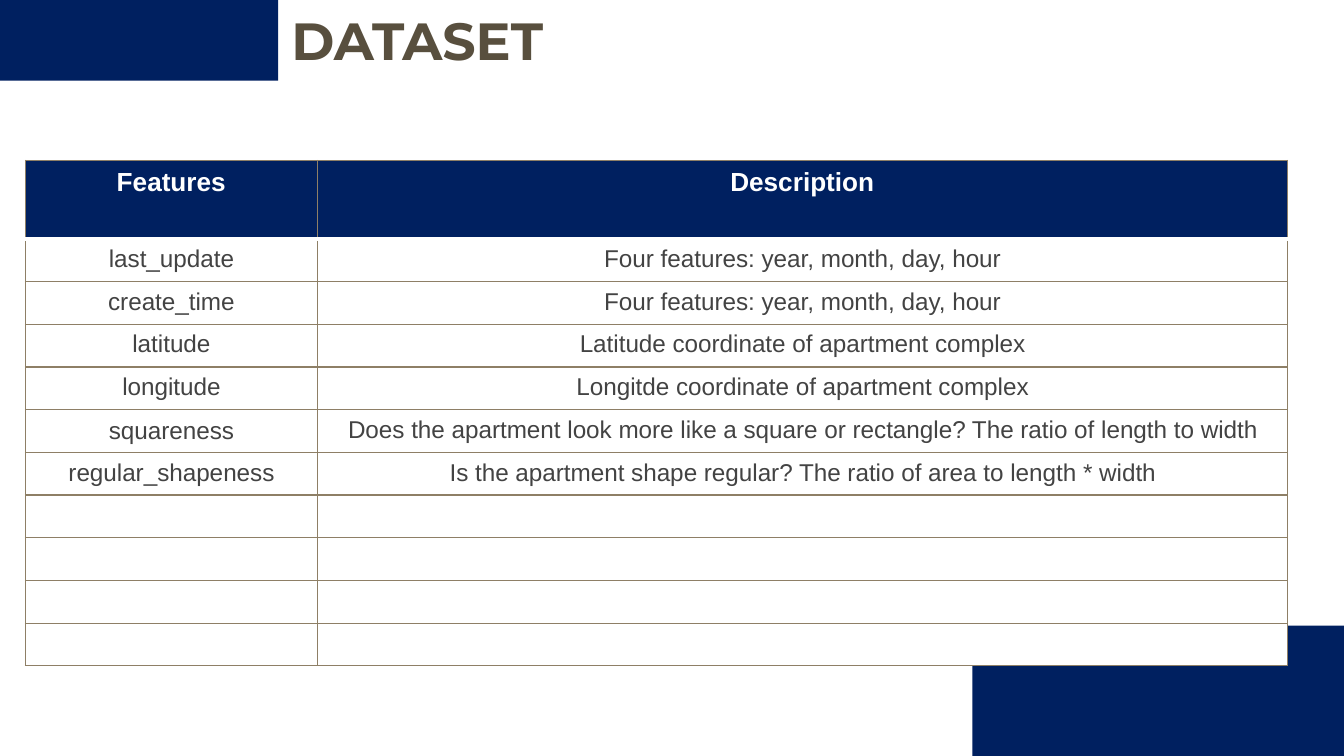
from dataclasses import dataclass

from lxml.etree import SubElement
from pptx import Presentation
from pptx.dml.color import RGBColor
from pptx.enum.shapes import MSO_SHAPE as Shape
from pptx.enum.text import MSO_ANCHOR as Anchor, MSO_AUTO_SIZE as AutoSize, PP_ALIGN as Align
from pptx.oxml.ns import qn
from pptx.util import Pt

NAVY, WHITE, BROWN, GREY, TAN = "002060", "FFFFFF", "584F3E", "434343", "8E7F66"
COLUMN_WIDTHS = (156.24, 519.84)
HEADER_HEIGHT, ROW_HEIGHT = 42, 22.9
EMPTY_ROWS = 4


@dataclass(frozen=True)
class Block:
    left: float
    top: float
    width: float
    height: float


@dataclass(frozen=True)
class TextStyle:
    font: str
    size: float
    color: str
    bold: bool = False


BLOCKS = (Block(0, 0, 149, 43.2), Block(521, 335.2, 204.5, 69.8))
TITLE = TextStyle("Montserrat", 28, BROWN, True)
HEADER = TextStyle("Arial", 14, WHITE, True)
BODY = TextStyle("Arial", 13, GREY)
ROWS = [
    ("Features", "Description"),
    ("last_update", "Four features: year, month, day, hour"),
    ("create_time", "Four features: year, month, day, hour"),
    ("latitude", "Latitude coordinate of apartment complex"),
    ("longitude", "Longitde coordinate of apartment complex"),
    ("squareness", "Does the apartment look more like a square or rectangle? "
                   "The ratio of length to width"),
    ("regular_shapeness", "Is the apartment shape regular? "
                          "The ratio of area to length * width"),
] + [("", "")] * EMPTY_ROWS


def rgb(color: str) -> RGBColor:
    return RGBColor.from_string(color)


def style_paragraph(para, style: TextStyle) -> None:
    para.font.name = style.font
    para.font.size = Pt(style.size)
    para.font.bold = style.bold
    para.font.color.rgb = rgb(style.color)


def add_block(page, block: Block) -> None:
    box = page.shapes.add_shape(Shape.RECTANGLE, Pt(block.left), Pt(block.top),
                                Pt(block.width), Pt(block.height))
    box.shadow.inherit = False
    box.fill.solid()
    box.fill.fore_color.rgb = rgb(NAVY)
    box.line.fill.background()


def add_title(page, text: str) -> None:
    box = page.shapes.add_textbox(Pt(149), Pt(0.7), Pt(153.4), Pt(41))
    frame = box.text_frame
    frame.word_wrap = False
    frame.auto_size = AutoSize.SHAPE_TO_FIT_TEXT
    frame.text = text
    style_paragraph(frame.paragraphs[0], TITLE)


def add_border(cell, side: str, color: str, width: float) -> None:
    """Append one cell border; call in the order L, R, T, B and before the fill."""
    properties = cell._tc.get_or_add_tcPr()
    line = SubElement(properties, qn(f"a:ln{side}"), w=str(Pt(width)))
    SubElement(SubElement(line, qn("a:solidFill")), qn("a:srgbClr"), val=color)


def fill_cell(cell, text: str, row: int) -> None:
    for side in "LRTB":
        under_header = (row, side) in ((0, "B"), (1, "T"))
        add_border(cell, side, *((WHITE, 2) if under_header else (TAN, 0.75)))
    cell.fill.solid()
    cell.fill.fore_color.rgb = rgb(WHITE if row else NAVY)
    para = cell.text_frame.paragraphs[0]
    para.alignment = Align.CENTER
    style_paragraph(para, BODY if row else HEADER)
    if text:
        para.add_run().text = text
    else:
        # Keeps an empty row from growing to the default text size
        para._p.get_or_add_endParaRPr().set("sz", str(BODY.size * 100))
    if text == "squareness":
        cell.vertical_anchor = Anchor.MIDDLE


def add_feature_table(page) -> None:
    height = HEADER_HEIGHT + ROW_HEIGHT * (len(ROWS) - 1)
    table = page.shapes.add_table(len(ROWS), len(COLUMN_WIDTHS), Pt(13.68), Pt(86),
                                  Pt(sum(COLUMN_WIDTHS)), Pt(height)).table
    table.first_row = table.horz_banding = False
    for column, width in zip(table.columns, COLUMN_WIDTHS):
        column.width = Pt(width)
    for row, texts in enumerate(ROWS):
        table.rows[row].height = Pt(ROW_HEIGHT if row else HEADER_HEIGHT)
        for column, text in enumerate(texts):
            fill_cell(table.cell(row, column), text, row)


def main() -> None:
    deck = Presentation()
    deck.slide_width, deck.slide_height = Pt(720), Pt(405)
    page = deck.slides.add_slide(deck.slide_layouts[6])
    for block in BLOCKS:
        add_block(page, block)
    add_title(page, "DATASET")
    add_feature_table(page)
    deck.save("out.pptx")


if __name__ == "__main__":
    main()
